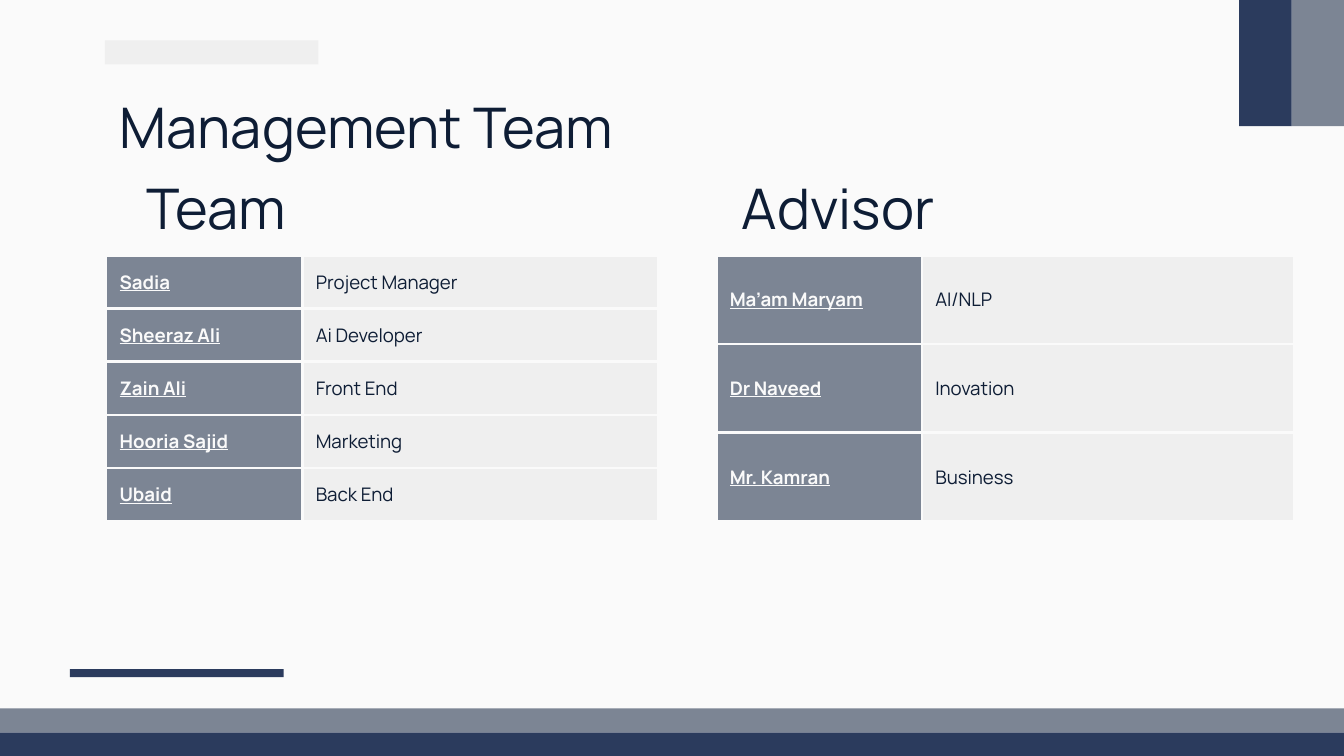
from dataclasses import dataclass

from lxml import etree
from pptx import Presentation
from pptx.dml.color import RGBColor
from pptx.enum.shapes import MSO_SHAPE
from pptx.enum.text import MSO_ANCHOR, MSO_AUTO_SIZE, PP_ALIGN
from pptx.oxml.ns import qn
from pptx.util import Inches, Pt

RECTANGLE = MSO_SHAPE.RECTANGLE
TOP, MIDDLE = MSO_ANCHOR.TOP, MSO_ANCHOR.MIDDLE
LEFT = PP_ALIGN.LEFT
NO_AUTOFIT = MSO_AUTO_SIZE.NONE


@dataclass(frozen=True)
class Theme:
    paper: str = "FAFAFA"
    panel: str = "EFEFEF"
    slate: str = "7C8594"
    navy: str = "2B3B5D"
    ink: str = "0E1D35"
    font: str = "Manrope"
    heading_size: int = 30
    table_size: int = 10
    border_width: float = 1.5


theme = Theme()


def write_text(text_frame, text, size, color, emphasis=False):
    """Set one left-aligned line; emphasis makes it bold and underlined."""
    text_frame.text = text
    paragraph = text_frame.paragraphs[0]
    paragraph.alignment = LEFT
    font = paragraph.runs[0].font
    font.name = theme.font
    font.size = Pt(size)
    font.bold = font.underline = emphasis
    font.color.rgb = RGBColor.from_string(color)


def add_borders(cell):
    properties = cell._tc.get_or_add_tcPr()
    for index, side in enumerate(("a:lnL", "a:lnR", "a:lnT", "a:lnB")):
        line = etree.Element(qn(side), w=str(Pt(theme.border_width)))
        fill = etree.SubElement(line, qn("a:solidFill"))
        etree.SubElement(fill, qn("a:srgbClr"), val=theme.paper)
        properties.insert(index, line)


presentation = Presentation()
presentation.slide_width = Inches(10)
presentation.slide_height = presentation.slide_width * 9 // 16
slide = presentation.slides.add_slide(presentation.slide_layouts[5])
slide.background.fill.solid()
slide.background.fill.fore_color.rgb = RGBColor.from_string(theme.paper)

# Decorative bars
bars = [
    (0.78, 0.3, 1.59, 0.18, theme.panel),
    (0, 5.45, 10, 0.18, theme.navy),
    (0, 5.27, 10, 0.18, theme.slate),
    (9.61, 0, 0.39, 0.94, theme.slate),
    (9.22, 0, 0.39, 0.94, theme.navy),
    (0.52, 4.98, 1.59, 0.06, theme.navy),
]
for left, top, width, height, color in bars:
    bar = slide.shapes.add_shape(
        RECTANGLE, Inches(left), Inches(top), Inches(width), Inches(height)
    )
    bar.shadow.inherit = False
    bar.fill.solid()
    bar.fill.fore_color.rgb = RGBColor.from_string(color)
    bar.line.fill.background()

# Title and table headings
title = slide.shapes.title
title.left, title.top = Inches(0.79), Inches(0.59)
title.width, title.height = Inches(8.43), Inches(0.63)
headings = [(title, "Management Team")]
for left, text in ((0.99, "Team"), (5.42, "Advisor")):
    text_box = slide.shapes.add_textbox(
        Inches(left), Inches(1.19), Inches(4.01), Inches(0.63)
    )
    headings.append((text_box, text))

for shape, text in headings:
    text_frame = shape.text_frame
    text_frame.word_wrap = True
    text_frame.auto_size = NO_AUTOFIT
    text_frame.vertical_anchor = TOP
    text_frame.margin_left = text_frame.margin_right = Inches(0.1)
    text_frame.margin_top = text_frame.margin_bottom = Inches(0.1)
    write_text(text_frame, text, theme.heading_size, theme.ink)

# People and their roles
team = [
    ("Sadia", "Project Manager"),
    ("Sheeraz Ali", "Ai Developer"),
    ("Zain Ali", "Front End"),
    ("Hooria Sajid", "Marketing"),
    ("Ubaid", "Back End"),
]
advisors = [
    ("Ma’am Maryam", "AI/NLP"),
    ("Dr Naveed", "Inovation"),
    ("Mr. Kamran", "Business"),
]
table_height = Inches(1.98)
for left, column_widths, people in (
    (0.79, (1.46, 2.65), team),
    (5.33, (1.53, 2.77), advisors),
):
    table = slide.shapes.add_table(
        len(people), 2, Inches(left), Inches(1.9),
        Inches(sum(column_widths)), table_height,
    ).table
    table.first_row = table.horz_banding = False
    for column, width in zip(table.columns, column_widths):
        column.width = Inches(width)
    for row, person in zip(table.rows, people):
        row.height = table_height // len(people)
        for column_index, (cell, text) in enumerate(zip(row.cells, person)):
            is_name = column_index == 0
            cell.vertical_anchor = MIDDLE
            cell.margin_left = cell.margin_right = Inches(0.1)
            cell.margin_top = cell.margin_bottom = 0
            cell.fill.solid()
            cell.fill.fore_color.rgb = RGBColor.from_string(
                theme.slate if is_name else theme.panel
            )
            write_text(
                cell.text_frame, text, theme.table_size,
                theme.paper if is_name else theme.ink, emphasis=is_name,
            )
            if not is_name:
                cell.text_frame.paragraphs[0].space_after = Pt(16)
            add_borders(cell)

presentation.save("out.pptx")
